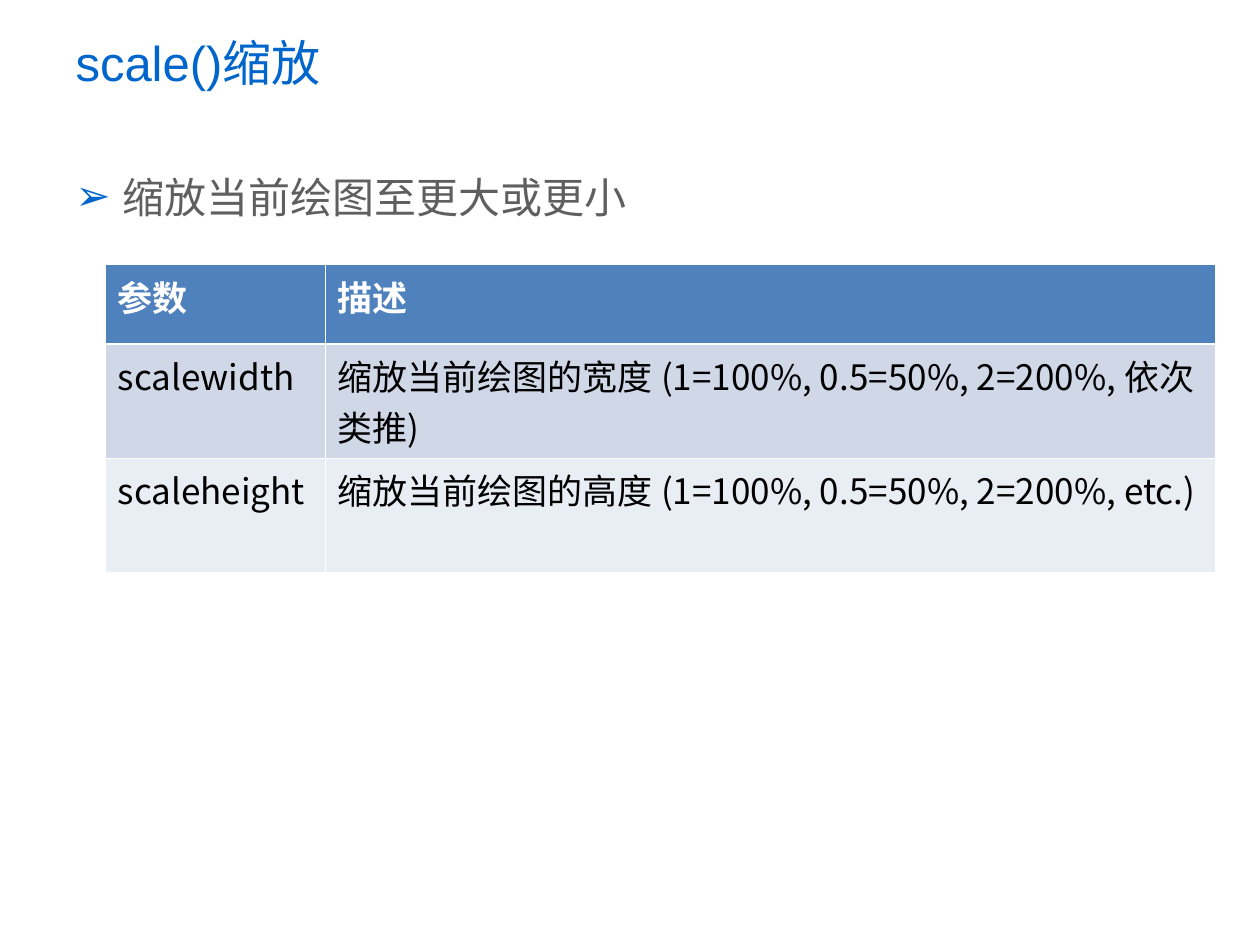
from pptx import Presentation
from pptx.dml.color import RGBColor
from pptx.enum.text import MSO_ANCHOR, PP_ALIGN
from pptx.oxml import parse_xml
from pptx.oxml.ns import nsdecls
from pptx.util import Emu, Pt

MIDDLE = MSO_ANCHOR.MIDDLE
TOP = MSO_ANCHOR.TOP
LEFT = PP_ALIGN.LEFT
BLUE = RGBColor(0x00, 0x66, 0xCC)
GRAY = RGBColor(0x5F, 0x5F, 0x5F)
WHITE = RGBColor(0xFF, 0xFF, 0xFF)
BLACK = RGBColor(0x00, 0x00, 0x00)
HEAD = RGBColor(0x4F, 0x81, 0xBD)
BAND = RGBColor(0xD0, 0xD8, 0xE8)
PALE = RGBColor(0xE9, 0xED, 0xF4)
SANS = "Noto Sans CJK SC"
SCALE = 914400 / 126


def px(*sizes):
    return [Emu(round(size * SCALE)) for size in sizes]


def write(frame, text, color, style):
    frame.word_wrap = True
    para = frame.paragraphs[0]
    para.alignment = LEFT
    run = para.add_run()
    run.text = text
    for key, value in style.items():
        setattr(run.font, key, value)
    run.font.color.rgb = color
    run.font._element.append(
        parse_xml(f'<a:ea {nsdecls("a")} typeface="{SANS}"/>'))
    return para


deck = Presentation()
deck.slide_width, deck.slide_height = px(1260, 945)
slide = deck.slides.add_slide(deck.slide_layouts[5])

title = slide.shapes.title
title.left, title.top, title.width, title.height = px(63, -2, 964, 128)
title.text_frame.vertical_anchor = MIDDLE
write(title.text_frame, "scale()缩放", BLUE, {"size": Pt(28), "name": "Arial"})

body = slide.shapes.add_textbox(*px(63, 165, 1134, 679))
para = write(body.text_frame, "缩放当前绘图至更大或更小", GRAY,
             {"size": Pt(24), "name": "Arial"})
props = para._p.get_or_add_pPr()
indent = px(47)[0]
props.set("marL", str(indent))
props.set("indent", str(-indent))
for item in (
    f'<a:buClr {nsdecls("a")}><a:srgbClr val="{BLUE}"/></a:buClr>',
    f'<a:buFont {nsdecls("a")} typeface="Arial"/>',
    f'<a:buChar {nsdecls("a")} char="➢"/>',
):
    props.append(parse_xml(item))

rows = [
    ("参数", "描述"),
    ("scalewidth", "缩放当前绘图的宽度 (1=100%, 0.5=50%, 2=200%, 依次类推)"),
    ("scaleheight", "缩放当前绘图的高度 (1=100%, 0.5=50%, 2=200%, etc.)"),
]
fills = [HEAD, BAND, PALE]
sizes = [80, 114, 114]
table = slide.shapes.add_table(3, 2, *px(105, 264, 1110, sum(sizes))).table
for col, width in zip(table.columns, px(220, 890)):
    col.width = width
for row, height in zip(table.rows, px(*sizes)):
    row.height = height

for r, texts in enumerate(rows):
    for c, text in enumerate(texts):
        cell = table.cell(r, c)
        cell.vertical_anchor = TOP
        thick = {0: "B", 1: "T"}.get(r)
        edges = cell._tc.get_or_add_tcPr()
        for side in "LRTB":
            width = Pt(1.47 if side == thick else 0.45)
            edges.append(parse_xml(
                f'<a:ln{side} {nsdecls("a")} w="{width}"><a:solidFill>'
                f'<a:srgbClr val="{WHITE}"/></a:solidFill></a:ln{side}>'))
        cell.fill.solid()
        cell.fill.fore_color.rgb = fills[r]
        font = "Calibri" if (r, c) == (0, 1) else SANS
        write(cell.text_frame, text, BLACK if r else WHITE,
              {"size": Pt(20), "name": font, "bold": r == 0})

deck.save("out.pptx")
